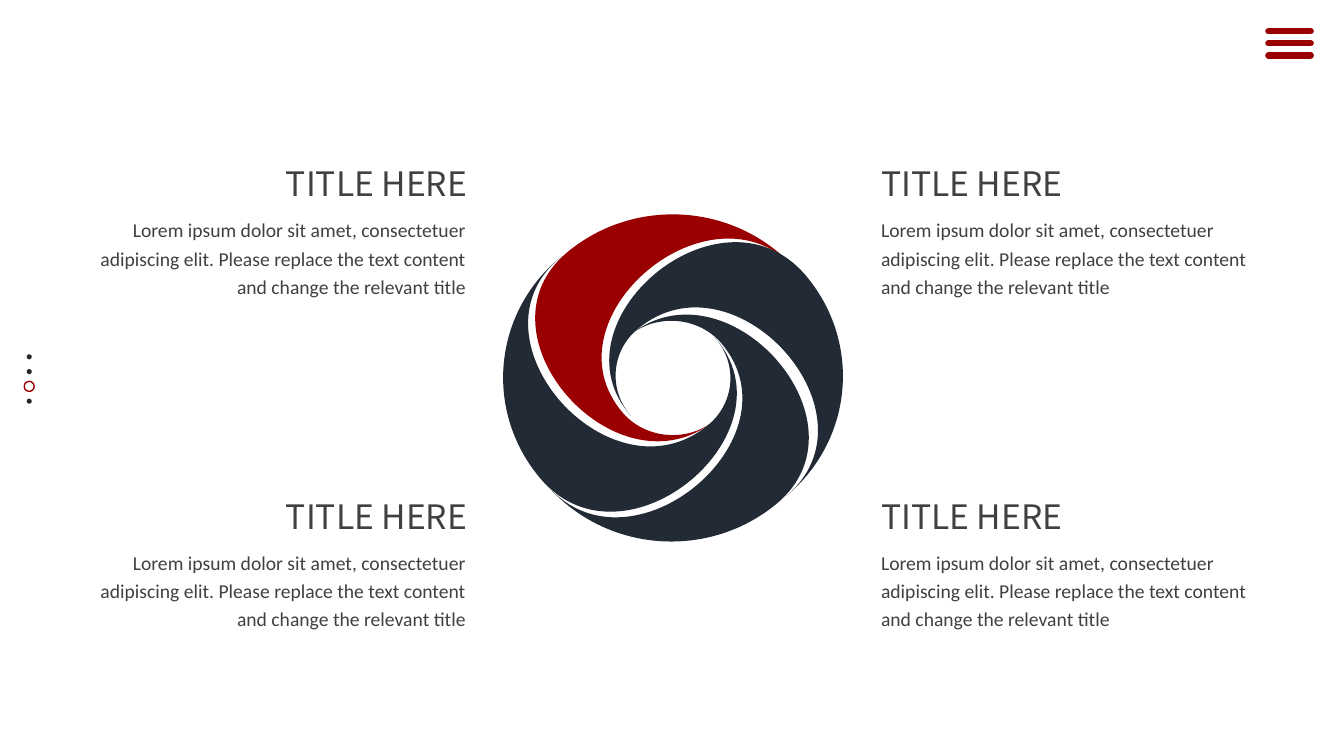
"""Build a slide with a four-blade swirl and four titled text blocks."""
from dataclasses import dataclass

from lxml import etree
from pptx import Presentation
from pptx.dml.color import RGBColor
from pptx.enum.shapes import MSO_CONNECTOR, MSO_SHAPE
from pptx.enum.text import MSO_AUTO_SIZE, PP_ALIGN
from pptx.oxml.ns import qn
from pptx.util import Inches, Pt

OVAL = MSO_SHAPE.OVAL
STRAIGHT = MSO_CONNECTOR.STRAIGHT
LEFT, RIGHT = PP_ALIGN.LEFT, PP_ALIGN.RIGHT
GROW = MSO_AUTO_SIZE.SHAPE_TO_FIT_TEXT


@dataclass(frozen=True)
class Theme:
    red: RGBColor = RGBColor(0x9A, 0x00, 0x00)
    navy: RGBColor = RGBColor(0x22, 0x2A, 0x35)
    dot: RGBColor = RGBColor(0x26, 0x26, 0x26)
    text: RGBColor = RGBColor(0x40, 0x40, 0x40)
    title_font: str = "Noto Sans CJK SC"
    body_font: str = "Calibri"
    title_size: int = 24
    body_size: int = 14


theme = Theme()
TITLE = "TITLE HERE"
BODY = ("Lorem ipsum dolor sit amet, consectetuer adipiscing elit. "
        "Please replace the text content and change the relevant title")


def add_blade(shapes, points, color):
    """Draw a closed outline of cubic curves, three points to a curve."""
    corners = [(Inches(x), Inches(y)) for x, y in points]
    builder = shapes.build_freeform(*corners[0])
    builder.add_line_segments(corners[1:], close=True)
    blade = builder.convert_to_shape()
    blade.shadow.inherit = False
    blade.fill.solid()
    blade.fill.fore_color.rgb = color
    blade.line.fill.background()
    segments = list(blade._element.iter(qn("a:lnTo")))
    for first in range(0, len(segments), 3):
        curve = etree.Element(qn("a:cubicBezTo"))
        segments[first].addprevious(curve)
        for segment in segments[first:first + 3]:
            curve.append(segment[0])
            segment.getparent().remove(segment)


def add_text(shapes, box, text, align, font, size):
    """Add a wrapped text box with one run."""
    frame = shapes.add_textbox(*map(Inches, box)).text_frame
    frame.word_wrap = True
    frame.auto_size = GROW
    paragraph = frame.paragraphs[0]
    paragraph.alignment = align
    paragraph.line_spacing = 1.2
    run = paragraph.add_run()
    run.text = text
    run.font.name = font
    run.font.size = Pt(size)
    run.font.color.rgb = theme.text


deck = Presentation()
deck.slide_width, deck.slide_height = Inches(13.33), Inches(7.5)
slide = deck.slides.add_slide(deck.slide_layouts[6])

top_blade = [(7.9, 2.68), (7.32, 2.02), (6.31, 1.94), (5.63, 2.5),
             (4.65, 3.31), (6.13, 4.96), (7.09, 4.17),
             (6.82, 4.39), (6.41, 4.36), (6.18, 4.1),
             (5.37, 3.16), (7.07, 1.73), (7.9, 2.68)]
right_blade = [(7.8, 4.92), (8.47, 4.36), (8.55, 3.38), (7.98, 2.72),
               (7.14, 1.76), (5.44, 3.2), (6.26, 4.13),
               (6.03, 3.87), (6.06, 3.48), (6.33, 3.26),
               (7.29, 2.47), (8.76, 4.11), (7.8, 4.92)]
left_blade = [(13.35 - x, 7.48 - y) for x, y in right_blade]
bottom_blade = [(13.33 - x, 7.5 - y) for x, y in top_blade]
swirl = slide.shapes.add_group_shape().shapes
add_blade(swirl, top_blade, theme.red)
for dark_blade in (right_blade, left_blade, bottom_blade):
    add_blade(swirl, dark_blade, theme.navy)

page_dots = slide.shapes.add_group_shape().shapes
current_page = 2
for page in range(4):
    diameter = 0.1 if page == current_page else 0.05
    center = 3.54 + 0.44 * page / 3
    dot = page_dots.add_shape(OVAL, Inches(0.29 - diameter / 2), Inches(center - diameter / 2),
                              Inches(diameter), Inches(diameter))
    dot.shadow.inherit = False
    if page == current_page:
        dot.fill.background()
        dot.line.color.rgb = theme.red
        dot.line.width = Pt(1)
    else:
        dot.fill.solid()
        dot.fill.fore_color.rgb = theme.dot
        dot.line.fill.background()

menu = slide.shapes.add_group_shape().shapes
for row in range(3):
    height = Inches(0.31 + 0.12 * row)
    bar = menu.add_connector(STRAIGHT, Inches(12.58), height, Inches(13), height)
    bar.line.color.rgb = theme.red
    bar.line.width = Pt(4.5)
    bar.line._get_or_add_ln().set("cap", "rnd")
    etree.SubElement(bar._element.spPr, qn("a:effectLst"))

for title_left, body_left, align in ((8.64, 8.64, LEFT), (1.18, 0.62, RIGHT)):
    for top in (1.49, 4.79):
        block = slide.shapes.add_group_shape().shapes
        add_text(block, (title_left, top, 3.55, 0.54), TITLE, align,
                 theme.title_font, theme.title_size)
        add_text(block, (body_left, top + 0.58, 4.1, 0.95), BODY, align,
                 theme.body_font, theme.body_size)

deck.save("out.pptx")
